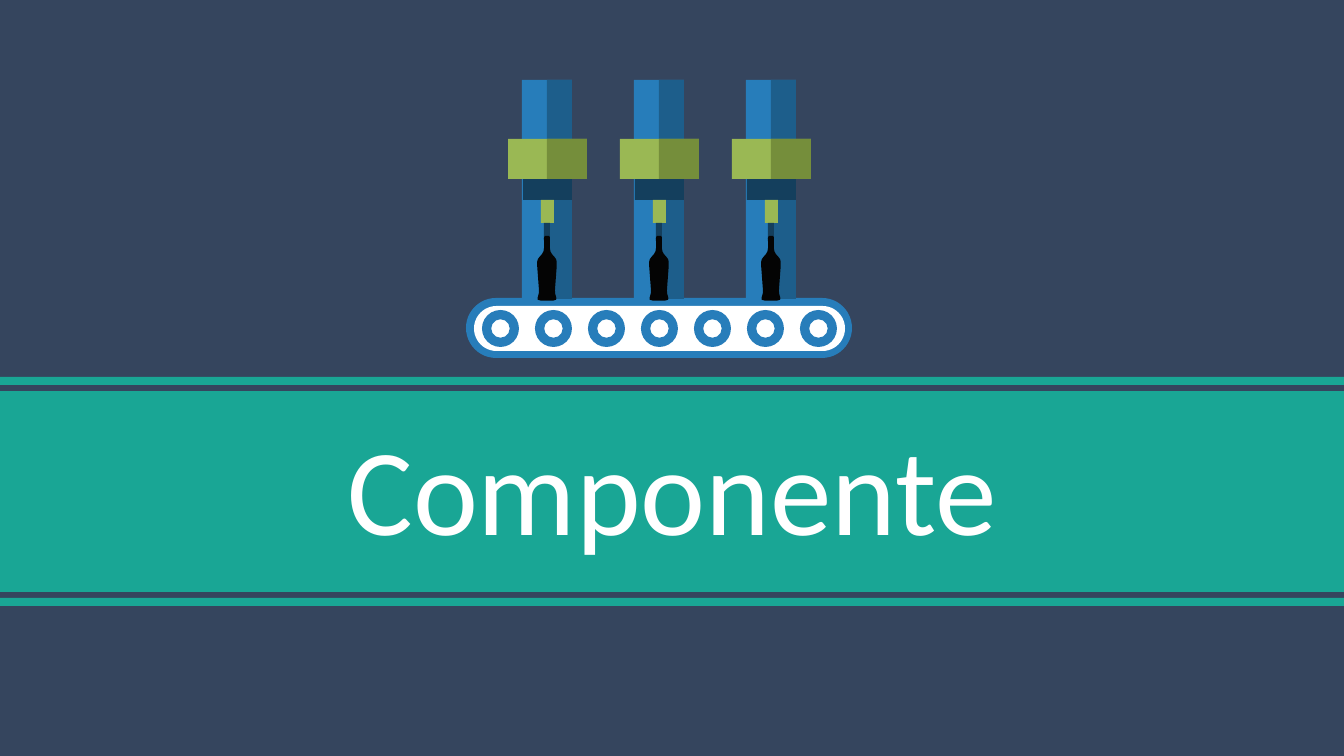
from dataclasses import dataclass

from pptx import Presentation
from pptx.dml.color import RGBColor
from pptx.enum.shapes import MSO_SHAPE
from pptx.enum.text import MSO_ANCHOR, PP_ALIGN
from pptx.util import Emu, Pt

EMU_PER_PX = 12192000 / 1344
WIDTH, HEIGHT = 1344, 756


@dataclass(frozen=True)
class Theme:
    background: str = "35455E"
    teal: str = "19A695"
    blue: str = "277DBA"
    blue_dark: str = "1D5E8B"
    navy: str = "143F5D"
    green: str = "9AB854"
    green_dark: str = "758E3B"
    black: str = "040404"
    white: str = "FFFFFF"
    font: str = "Calibri"
    title_size: int = 88


THEME = Theme()


@dataclass(frozen=True)
class Part:
    """A rectangle of a filling tower; dx counts from the tower's axis."""
    dx: int
    y: int
    w: int
    h: int
    color: str


TOWER_PARTS = (
    Part(-25, 80, 50, 219, THEME.blue),
    Part(0, 80, 25, 219, THEME.blue_dark),
    Part(-39, 139, 79, 40, THEME.green),
    Part(0, 139, 40, 40, THEME.green_dark),
    Part(-24, 179, 49, 21, THEME.navy),
    Part(-6, 200, 13, 23, THEME.green),
    Part(-3, 223, 6, 16, THEME.navy),
)
TOWER_X, TOWER_PITCH, TOWER_COUNT = 547, 112, 3

# Half width and depth of the bottle from its top, in tenths of a px
BOTTLE_TOP = 236
BOTTLE_PROFILE = (
    (18, 0), (28, 10), (30, 25), (29, 60), (29, 120), (35, 155), (50, 182),
    (75, 210), (91, 232), (97, 255), (98, 300), (82, 514), (80, 545),
    (82, 575), (94, 620), (92, 638), (60, 647),
)

ROLLER_X, ROLLER_Y, ROLLER_SIZE = 482, 310, 37
ROLLER_PITCH, ROLLER_COUNT = 53, 7


def px(n: int) -> Emu:
    return Emu(round(n * EMU_PER_PX))


def paint(sp, color: str) -> None:
    sp.fill.solid()
    sp.fill.fore_color.rgb = RGBColor.from_string(color)
    sp.line.fill.background()
    sp.shadow.inherit = False


def add_block(shapes, x: int, y: int, w: int, h: int, color: str,
              kind: MSO_SHAPE = MSO_SHAPE.RECTANGLE):
    sp = shapes.add_shape(kind, px(x), px(y), px(w), px(h))
    paint(sp, color)
    return sp


def add_text(shapes, text: str, x: int, y: int, w: int, h: int, *,
             size: int, color: str, align: PP_ALIGN = PP_ALIGN.CENTER) -> None:
    tf = shapes.add_textbox(px(x), px(y), px(w), px(h)).text_frame
    tf.word_wrap = True
    tf.vertical_anchor = MSO_ANCHOR.MIDDLE
    p = tf.paragraphs[0]
    p.alignment = align
    r = p.add_run()
    r.text = text
    r.font.name = THEME.font
    r.font.size = Pt(size)
    r.font.color.rgb = RGBColor.from_string(color)


def add_title_band(shapes) -> None:
    add_block(shapes, 0, 391, WIDTH, 201, THEME.teal)
    add_text(shapes, "Componente", 0, 407, WIDTH, 159,
             size=THEME.title_size, color=THEME.white)
    for y in (377, 598):
        add_block(shapes, 0, y, WIDTH, 8, THEME.teal)


def add_belt(shapes) -> None:
    for x, y, w, h, color in ((466, 298, 386, 60, THEME.blue),
                              (474, 306, 371, 45, THEME.white)):
        sp = add_block(shapes, x, y, w, h, color, MSO_SHAPE.ROUNDED_RECTANGLE)
        sp.adjustments[0] = 0.5
    for i in range(ROLLER_COUNT):
        add_block(shapes, ROLLER_X + i * ROLLER_PITCH, ROLLER_Y,
                  ROLLER_SIZE, ROLLER_SIZE, THEME.blue, MSO_SHAPE.DONUT)


def add_bottle(shapes, axis: int) -> None:
    """Mirror the half profile about the axis to close the outline."""
    left = [(-dx, y) for dx, y in reversed(BOTTLE_PROFILE)]
    outline = [*BOTTLE_PROFILE, *left]
    builder = shapes.build_freeform(*outline[0], scale=EMU_PER_PX / 10)
    builder.add_line_segments(outline[1:], close=True)
    paint(builder.convert_to_shape(px(axis), px(BOTTLE_TOP)), THEME.black)


def add_tower(shapes, axis: int) -> None:
    for part in TOWER_PARTS:
        add_block(shapes, axis + part.dx, part.y, part.w, part.h, part.color)
    add_bottle(shapes, axis)


def main() -> None:
    prs = Presentation()
    prs.slide_width, prs.slide_height = px(WIDTH), px(HEIGHT)
    s = prs.slides.add_slide(prs.slide_layouts[6])
    s.background.fill.solid()
    s.background.fill.fore_color.rgb = RGBColor.from_string(THEME.background)

    add_title_band(s.shapes)
    machine = s.shapes.add_group_shape().shapes
    add_belt(machine)
    for i in reversed(range(TOWER_COUNT)):
        add_tower(machine, TOWER_X + i * TOWER_PITCH)
    prs.save("out.pptx")


if __name__ == "__main__":
    main()
